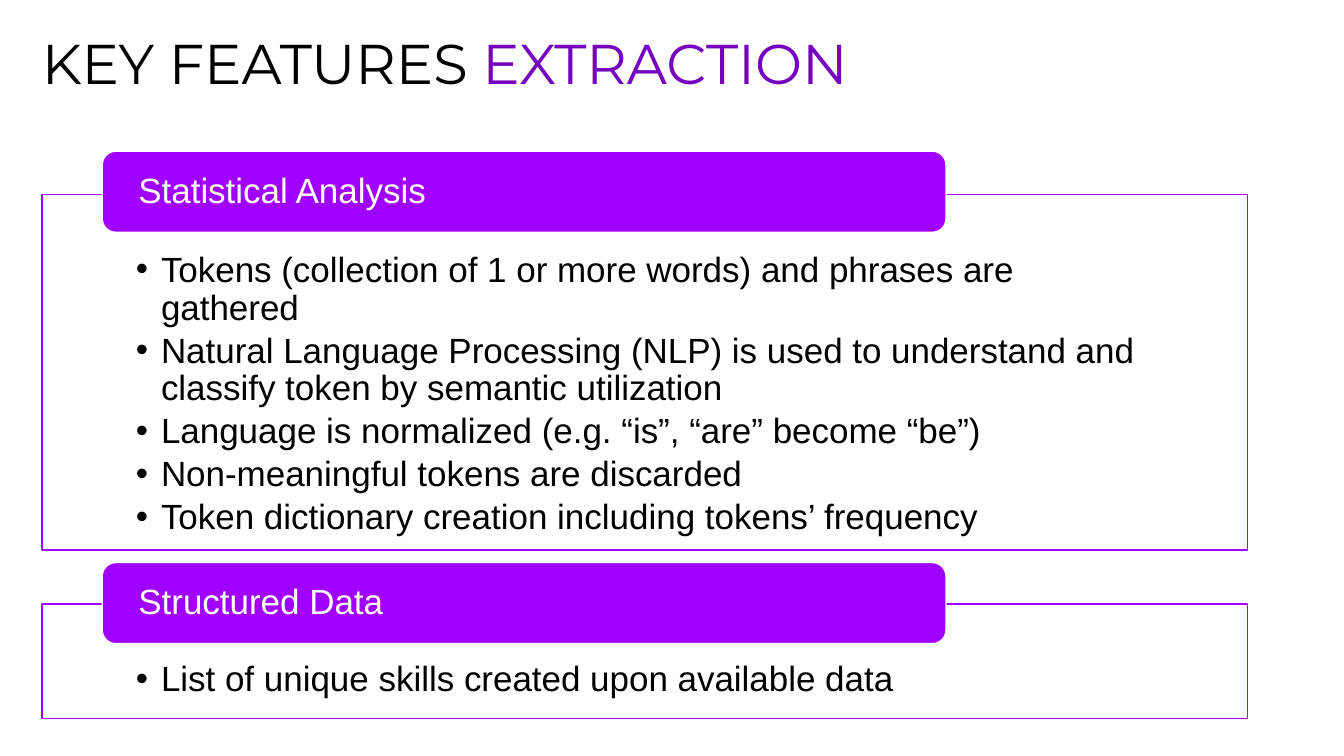
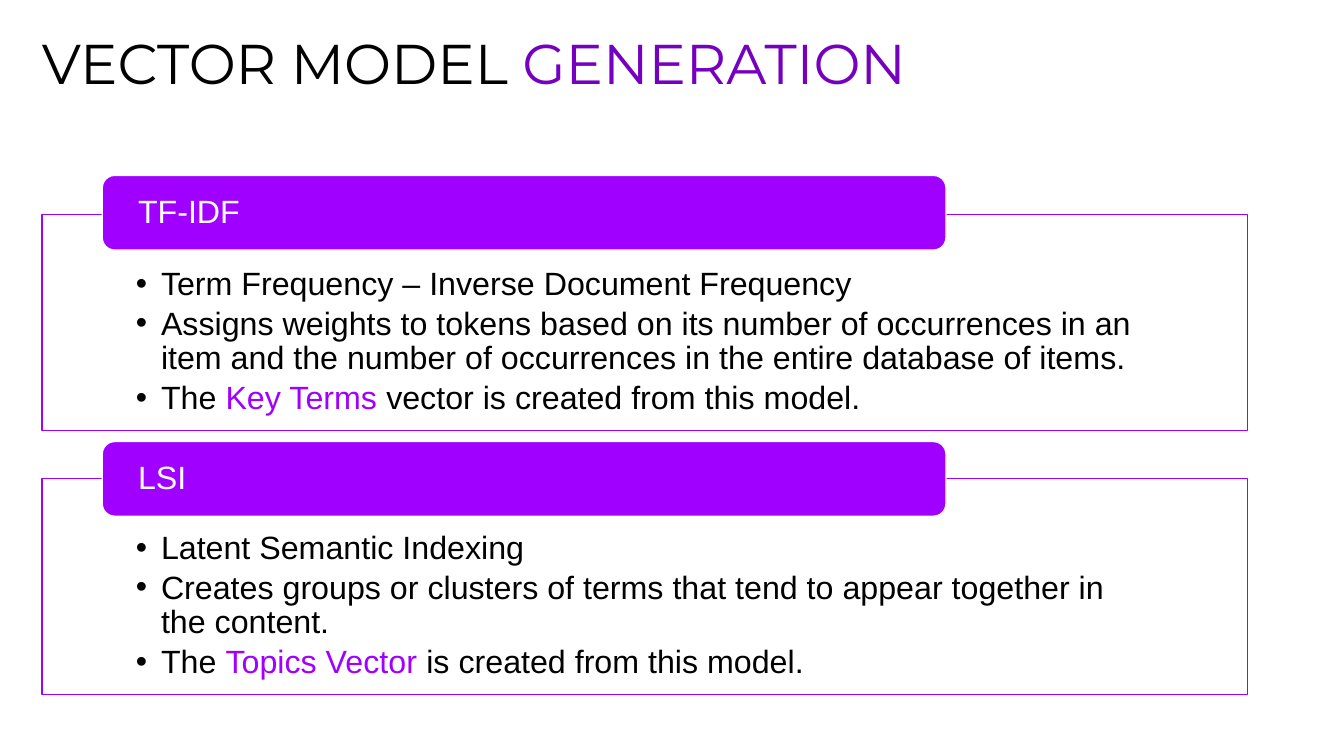
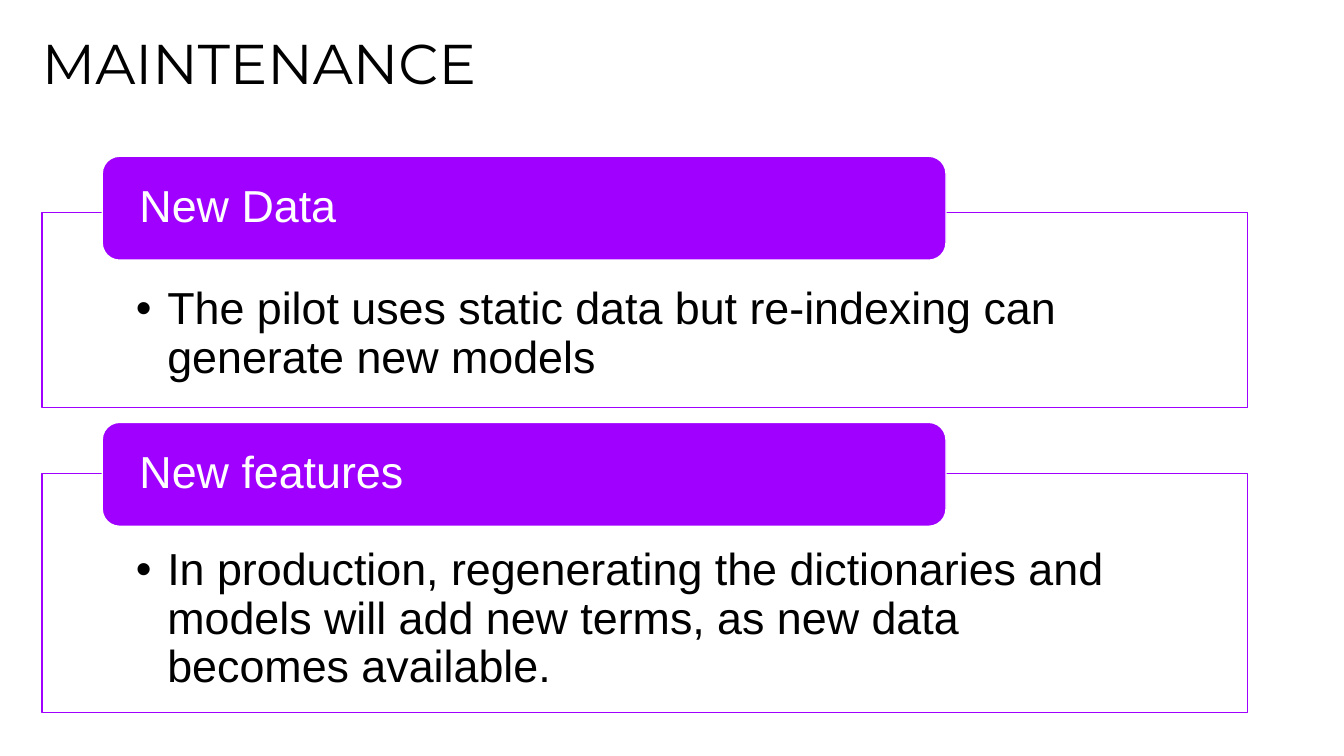
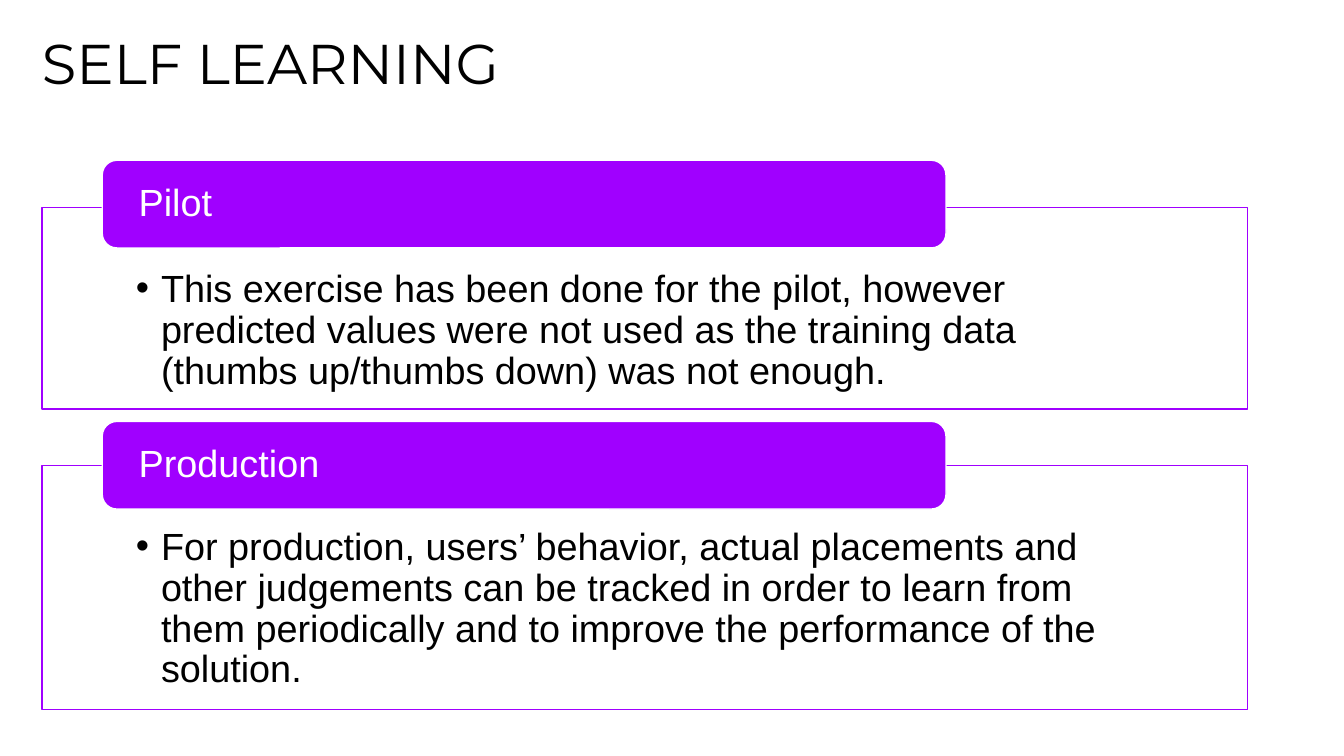
from dataclasses import dataclass

from lxml.etree import SubElement
from pptx import Presentation
from pptx.dml.color import RGBColor
from pptx.enum.shapes import MSO_SHAPE
from pptx.enum.text import MSO_ANCHOR, MSO_AUTO_SIZE, PP_ALIGN
from pptx.oxml.ns import qn
from pptx.util import Pt

BLACK = RGBColor(0x00, 0x00, 0x00)
WHITE = RGBColor(0xFF, 0xFF, 0xFF)
PURPLE = RGBColor(0xA0, 0x00, 0xFF)
DARK_PURPLE = RGBColor(0x75, 0x00, 0xC0)

TITLE_FONT = "Montserrat"
BODY_FONT = "Arial"
TWO_CONTENT_LAYOUT = 3

PANEL_LEFT = 30
PANEL_WIDTH = 861
PANEL_INSET = 67
TAB_LEFT = PANEL_LEFT + 0.05 * PANEL_WIDTH
TAB_WIDTH = 0.7 * PANEL_WIDTH
TAB_INSET = 23

# Vertical measures as multiples of the text size
TAB_HEIGHT_RATIO = 2.32
INSET_TOP_RATIO = 1.64
INSET_BOTTOM_RATIO = 0.55
BULLET_GAP_RATIO = 0.15


@dataclass(frozen=True)
class Span:
    text: str
    color: RGBColor = BLACK


Line = tuple[Span, ...]


@dataclass(frozen=True)
class Section:
    """A framed list with a tab; lengths in points."""
    label: str
    tab_top: float
    panel_top: float
    panel_height: float
    bullets: tuple[Line, ...]


@dataclass(frozen=True)
class SlideContent:
    title: Line
    text_size: int
    hanging: float
    sections: tuple[Section, Section]


def plain(text: str) -> Line:
    return (Span(text),)


SLIDES = (
    SlideContent(
        (Span("KEY FEATURES "), Span("EXTRACTION", DARK_PURPLE)), 25, 18,
        (
            Section("Statistical Analysis", 108, 139, 254, (
                plain("Tokens (collection of 1 or more words) and phrases are gathered"),
                plain("Natural Language Processing (NLP) is used to understand and "
                      "classify token by semantic utilization"),
                plain("Language is normalized (e.g. “is”, “are” become “be”)"),
                plain("Non-meaningful tokens are discarded"),
                plain("Token dictionary creation including tokens’ frequency"),
            )),
            Section("Structured Data", 401.8, 431.3, 82, (
                plain("List of unique skills created upon available data"),
            )),
        ),
    ),
    SlideContent(
        (Span("VECTOR MODEL "), Span("GENERATION", DARK_PURPLE)), 23, 18,
        (
            Section("TF-IDF", 125.3, 153.4, 154, (
                plain("Term Frequency – Inverse Document Frequency"),
                plain("Assigns weights to tokens based on its number of occurrences in an "
                      "item and the number of occurrences in the entire database of items."),
                (Span("The "), Span("Key Terms ", PURPLE),
                 Span("vector is created from this model.")),
            )),
            Section("LSI", 315.4, 342, 154, (
                plain("Latent Semantic Indexing"),
                plain("Creates groups or clusters of terms that tend to appear together "
                      "in the content."),
                (Span("The "), Span("Topics Vector ", PURPLE),
                 Span("is created from this model.")),
            )),
        ),
    ),
    SlideContent(
        plain("MAINTENANCE"), 32, 22.5,
        (
            Section("New Data", 111.6, 151.9, 139, (
                plain("The pilot uses static data but re-indexing can generate new models"),
            )),
            Section("New features", 301.7, 338.4, 170.6, (
                plain("In production, regenerating the dictionaries and models will add "
                      "new terms, as new data becomes available."),
            )),
        ),
    ),
    SlideContent(
        plain("SELF LEARNING"), 27, 18,
        (
            Section("Pilot", 114.5, 148.3, 144, (
                plain("This exercise has been done for the pilot, however predicted values "
                      "were not used as the training data (thumbs up/thumbs down) was not "
                      "enough."),
            )),
            Section("Production", 301, 332.6, 174.2, (
                plain("For production, users’ behavior, actual placements and other "
                      "judgements can be tracked in order to learn from them periodically "
                      "and to improve the performance of the solution."),
            )),
        ),
    ),
)


def place(shape, left: float, top: float, width: float, height: float) -> None:
    shape.left, shape.top = Pt(left), Pt(top)
    shape.width, shape.height = Pt(width), Pt(height)


def set_frame(frame, anchor: MSO_ANCHOR, left: float = 0, top: float = 0,
              right: float = 0, bottom: float = 0) -> None:
    frame.word_wrap = True
    frame.auto_size = MSO_AUTO_SIZE.NONE
    frame.vertical_anchor = anchor
    frame.margin_left, frame.margin_top = Pt(left), Pt(top)
    frame.margin_right, frame.margin_bottom = Pt(right), Pt(bottom)


def write_line(paragraph, line: Line, font_name: str, size: float,
               line_spacing: float) -> None:
    paragraph.alignment = PP_ALIGN.LEFT
    paragraph.line_spacing = line_spacing
    paragraph.space_before = Pt(0)
    paragraph.font.name = font_name
    paragraph.font.size = Pt(size)
    paragraph.font.color.rgb = line[0].color
    for span in line:
        run = paragraph.add_run()
        run.text = span.text
        if span.color != line[0].color:
            run.font.color.rgb = span.color


def fill_and_outline(shape, fill: RGBColor, outline: RGBColor) -> None:
    shape.fill.solid()
    shape.fill.fore_color.rgb = fill
    shape.line.color.rgb = outline
    shape.line.width = Pt(1)


def set_opacity(shape, percent: int) -> None:
    color = shape.element.spPr.find(f"{qn('a:solidFill')}/{qn('a:srgbClr')}")
    SubElement(color, qn("a:alpha"), val=str(percent * 1000))


def write_title(title, line: Line) -> None:
    place(title, 30, 30, 900, 78)
    set_frame(title.text_frame, MSO_ANCHOR.TOP, top=3.6)
    write_line(title.text_frame.paragraphs[0], line, TITLE_FONT, 40, 0.7)


def fill_panel(panel, section: Section, size: int, hanging: float) -> None:
    place(panel, PANEL_LEFT, section.panel_top, PANEL_WIDTH, section.panel_height)
    fill_and_outline(panel, WHITE, PURPLE)
    set_opacity(panel, 90)
    frame = panel.text_frame
    set_frame(frame, MSO_ANCHOR.TOP, PANEL_INSET, INSET_TOP_RATIO * size,
              PANEL_INSET, INSET_BOTTOM_RATIO * size)
    for index, bullet in enumerate(section.bullets):
        paragraph = frame.add_paragraph() if index else frame.paragraphs[0]
        write_line(paragraph, bullet, BODY_FONT, size, 0.9)
        paragraph.space_after = Pt(BULLET_GAP_RATIO * size)
        properties = paragraph._p.get_or_add_pPr()
        properties.set("marL", str(Pt(hanging)))
        properties.set("indent", str(-Pt(hanging)))


def add_tab(slide, section: Section, size: int) -> None:
    tab = slide.shapes.add_shape(
        MSO_SHAPE.ROUNDED_RECTANGLE, Pt(TAB_LEFT), Pt(section.tab_top),
        Pt(TAB_WIDTH), Pt(TAB_HEIGHT_RATIO * size))
    tab.shadow.inherit = False
    fill_and_outline(tab, PURPLE, WHITE)
    set_frame(tab.text_frame, MSO_ANCHOR.MIDDLE, left=TAB_INSET, right=TAB_INSET)
    write_line(tab.text_frame.paragraphs[0], (Span(section.label, WHITE),),
               BODY_FONT, size, 0.9)


def add_slide(presentation, content: SlideContent) -> None:
    slide = presentation.slides.add_slide(presentation.slide_layouts[TWO_CONTENT_LAYOUT])
    title, *panels = slide.placeholders
    write_title(title, content.title)
    for panel, section in zip(panels, content.sections):
        fill_panel(panel, section, content.text_size, content.hanging)
        add_tab(slide, section, content.text_size)


def main() -> None:
    presentation = Presentation()
    presentation.slide_width, presentation.slide_height = Pt(960), Pt(540)
    for content in SLIDES:
        add_slide(presentation, content)
    presentation.save("out.pptx")


if __name__ == "__main__":
    main()
